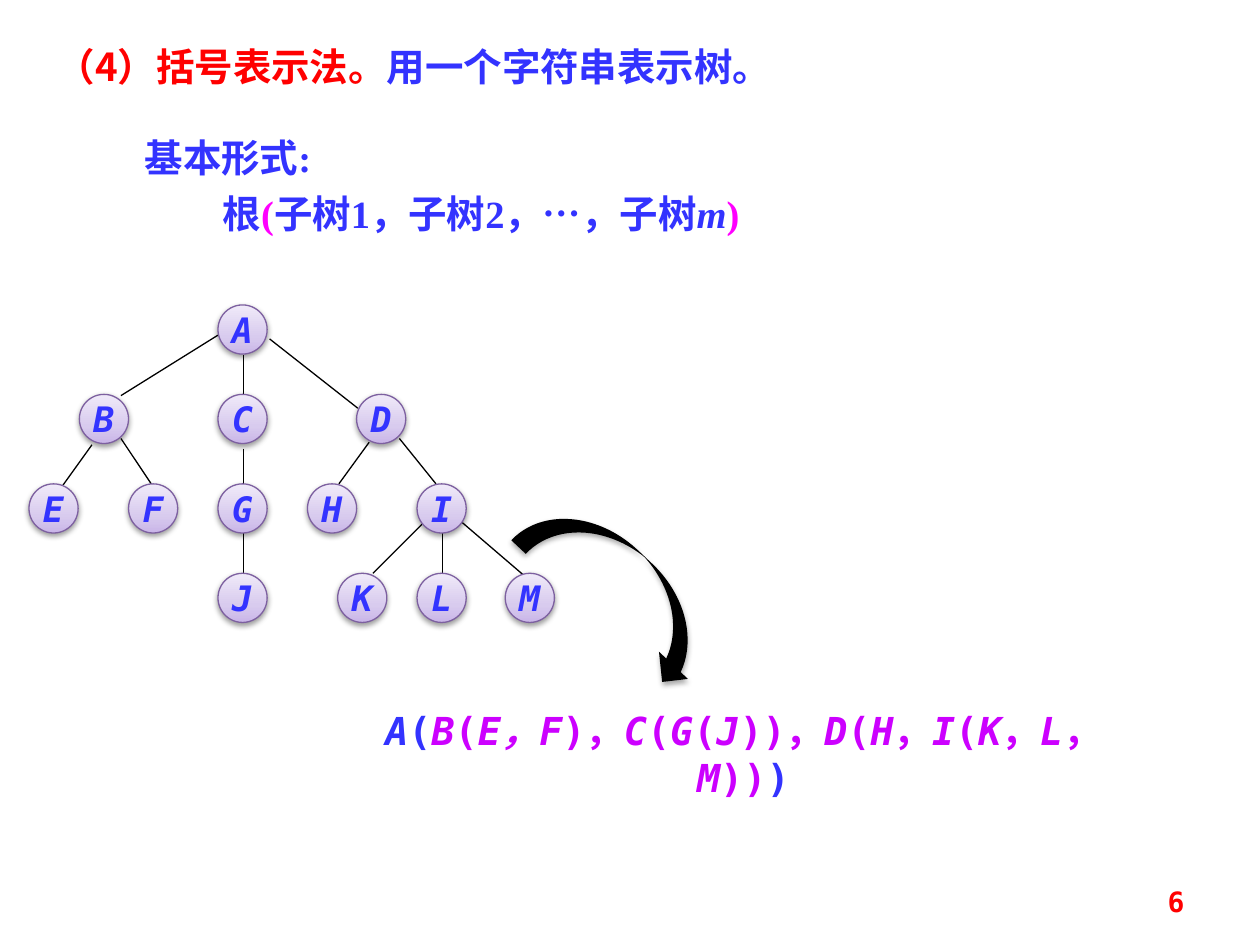
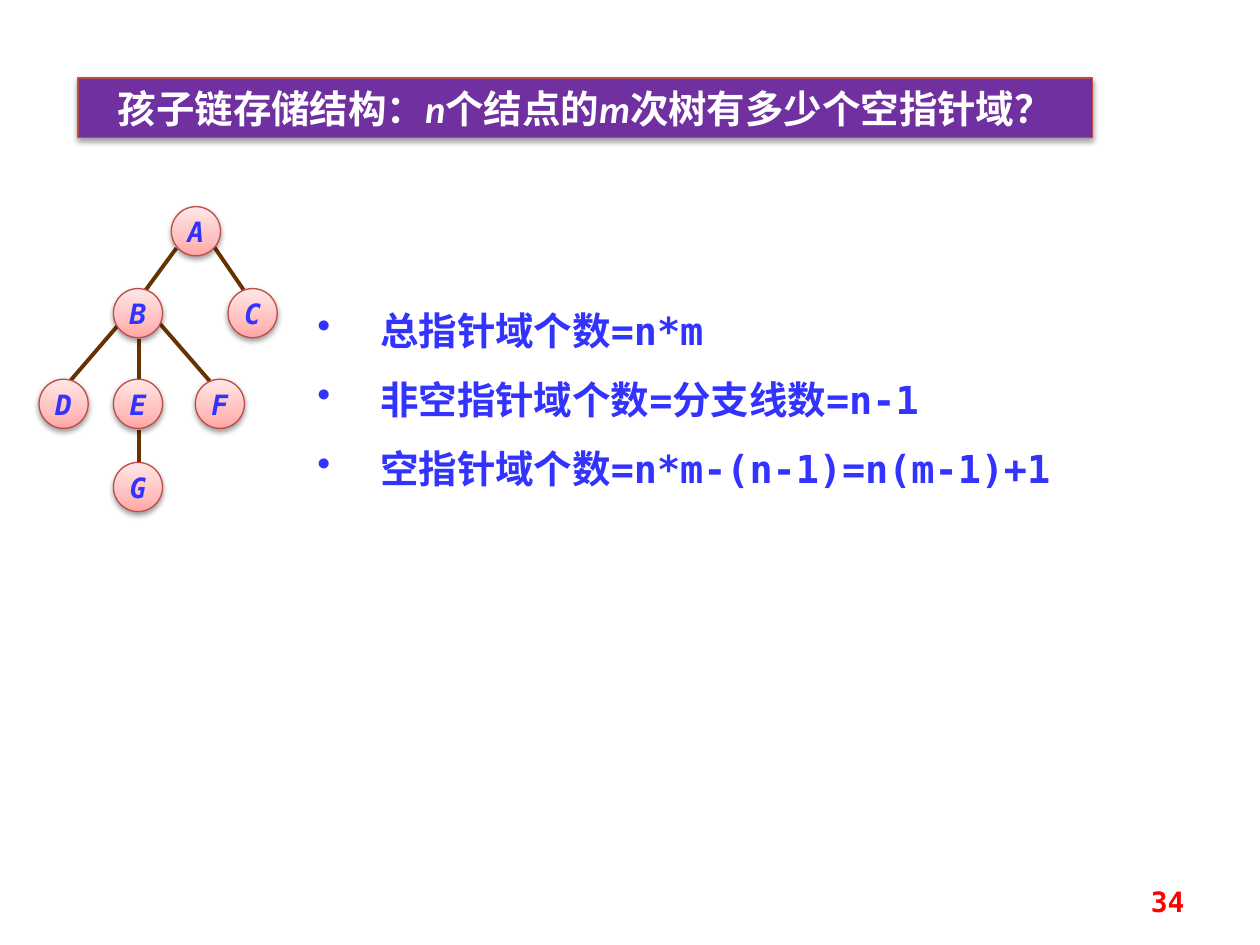
from pptx import Presentation
from pptx.dml.color import RGBColor
from pptx.enum.shapes import MSO_CONNECTOR as Link, MSO_SHAPE as Form
from pptx.enum.text import MSO_ANCHOR as Anchor, MSO_AUTO_SIZE as Auto, PP_ALIGN as Align
from pptx.oxml import parse_xml
from pptx.oxml.ns import nsdecls, qn
from pptx.util import Inches, Pt
from lxml.etree import SubElement

BLUE = RGBColor(0x33, 0x33, 0xFF)
RED = RGBColor(0xFF, 0x00, 0x00)
PINK = RGBColor(0xFF, 0x00, 0xFF)
VIOLET = RGBColor(0xCC, 0x00, 0xFF)
PURPLE = RGBColor(0x70, 0x30, 0xA0)
WHITE = RGBColor(0xFF, 0xFF, 0xFF)
BLACK = RGBColor(0x00, 0x00, 0x00)
BROWN = RGBColor(0x66, 0x33, 0x00)
PLUM = RGBColor(0x7D, 0x60, 0xA0)
BRICK = RGBColor(0xBF, 0x4C, 0x48)
LILAC = [(0, RGBColor(0xC9, 0xB5, 0xE8)), (35, RGBColor(0xD8, 0xCB, 0xEE)),
         (100, RGBColor(0xF0, 0xEA, 0xF9))]
ROSE = [(0, RGBColor(0xFF, 0xA6, 0xA5)), (35, RGBColor(0xFF, 0xC0, 0xBF)),
        (100, RGBColor(0xFF, 0xE7, 0xE7))]

MONO, SERIF, SANS, HAN = "DejaVu Sans Mono", "Times New Roman", "Calibri", "Noto Sans CJK SC"
NODE = 0.39


class Deck:
    def __init__(self):
        self.prs = Presentation()
        self.prs.slide_width, self.prs.slide_height = Inches(10), Inches(7.5)
        self.base = dict(size=Pt(22), name=MONO, bold=True, italic=False, color=BLUE)

    def page(self, number):
        self.slide = self.prs.slides.add_slide(self.prs.slide_layouts[5])
        self.shapes = self.slide.shapes
        self.text((7.17, 6.95, 2.33, 0.4), [[(str(number), {})]],
                  dict(size=Pt(16), color=RED), dict(alignment=Align.RIGHT),
                  vertical_anchor=Anchor.MIDDLE)

    def label(self, shape, paras, style=None, para=None, **frame):
        body = shape.text_frame
        frame = dict(word_wrap=True, auto_size=Auto.NONE) | frame
        for key, value in frame.items():
            setattr(body, key, value)
        for i, parts in enumerate(paras):
            line = body.add_paragraph() if i else body.paragraphs[0]
            for key, value in (para or {}).items():
                setattr(line, key, value)
            for words, change in parts:
                run = line.add_run()
                run.text = words
                for key, value in (self.base | (style or {}) | change).items():
                    if key == "color":
                        run.font.color.rgb = value
                    else:
                        setattr(run.font, key, value)
                SubElement(run._r.get_or_add_rPr(), qn("a:ea")).set("typeface", HAN)
        return shape

    def text(self, box, paras, style=None, para=None, **frame):
        shape = self.shapes.add_textbox(*map(Inches, box))
        return self.label(shape, paras, style, para, **frame)

    def title(self, box, parts, style, para, **frame):
        shape = self.shapes.title
        shape.left, shape.top, shape.width, shape.height = map(Inches, box)
        return self.label(shape, [parts], style, para, **frame)

    def indent(self, line, left, hang=0):
        props = line._p.get_or_add_pPr()
        props.set("marL", str(Inches(left)))
        props.set("indent", str(-Inches(hang)))
        return props

    def shade(self, shape, alpha=38):
        shape._element.spPr.append(parse_xml(
            f'<a:effectLst {nsdecls("a")}><a:outerShdw blurRad="40000" dist="20000" '
            f'dir="5400000" rotWithShape="0"><a:srgbClr val="{BLACK}">'
            f'<a:alpha val="{alpha}000"/></a:srgbClr></a:outerShdw></a:effectLst>'))

    def blend(self, shape, stops):
        marks = "".join(f'<a:gs pos="{at}000"><a:srgbClr val="{color}"/></a:gs>'
                        for at, color in stops)
        shape._element.spPr.find(qn("a:prstGeom")).addnext(parse_xml(
            f'<a:gradFill {nsdecls("a")} rotWithShape="1"><a:gsLst>{marks}</a:gsLst>'
            '<a:lin ang="16200000" scaled="0"/></a:gradFill>'))

    def edge(self, ends, color, width):
        line = self.shapes.add_connector(Link.STRAIGHT, *map(Inches, ends))
        line.line.color.rgb, line.line.width = color, Pt(width)
        SubElement(line._element.spPr, qn("a:effectLst"))

    def node(self, name, left, top, stops, rim, size):
        shape = self.shapes.add_shape(Form.OVAL, *map(Inches, (left, top, NODE, NODE)))
        self.blend(shape, stops)
        shape.line.color.rgb, shape.line.width = rim, Pt(0.75)
        self.shade(shape)
        self.label(shape, [[(name, dict(size=Pt(size), italic=True))]],
                   para=dict(alignment=Align.CENTER), word_wrap=False,
                   vertical_anchor=Anchor.MIDDLE, margin_left=0, margin_right=0,
                   margin_top=0, margin_bottom=0)

    def tree(self, rows, edges, stops, rim, size, ink, width):
        for ends in edges:
            self.edge(ends, ink, width)
        for top, row in rows:
            for name, left in row.items():
                self.node(name, left, top, stops, rim, size)

    def arrow(self, box, angle):
        shape = self.shapes.add_shape(Form.CURVED_DOWN_ARROW, *map(Inches, box))
        shape.rotation = angle
        shape.fill.solid()
        shape.fill.fore_color.rgb = BLACK
        shape.line.fill.background()
        self.shade(shape, 35)


def brackets(deck):
    deck.page(6)
    fixed = dict(line_spacing=Pt(32), alignment=Align.LEFT)
    deck.title((0.35, 0.21, 8.94, 0.55),
               [("（4）括号表示法。", dict(name=HAN, color=RED)), ("用一个字符串表示树。", {})],
               dict(name=SERIF), fixed, vertical_anchor=Anchor.TOP)
    form = deck.text((0.35, 0.94, 8.94, 0.99), [
        [("基本形式:", {})],
        [("根", {}), ("(", dict(color=PINK)), ("子树1，子树2，", {}), ("…，", dict(name=HAN)),
         ("子树", {}), ("m", dict(italic=True)), (")", dict(color=PINK))],
    ], dict(name=SERIF), fixed)
    for line, left in zip(form.text_frame.paragraphs, (0.7, 1.32)):
        deck.indent(line, left)

    levels = [dict(A=1.73), dict(B=0.63, C=1.73, D=2.83),
              dict(E=0.23, F=1.02, G=1.73, H=2.44, I=3.31),
              dict(J=1.73, K=2.68, L=3.31, M=4.01)]
    rows = [(2.42 + 0.71 * i, level) for i, level in enumerate(levels)]
    edges = [(1.73, 2.66, 0.96, 3.14), (1.93, 2.82, 1.93, 3.13), (2.14, 2.69, 2.84, 3.24),
             (0.73, 3.53, 0.5, 3.85), (0.96, 3.48, 1.2, 3.84), (1.93, 3.56, 1.93, 3.84),
             (2.93, 3.51, 2.69, 3.84), (3.17, 3.48, 3.46, 3.84), (1.93, 4.23, 1.93, 4.55),
             (3.35, 4.16, 2.96, 4.55), (3.51, 4.23, 3.51, 4.55), (3.66, 4.14, 4.15, 4.56)]
    deck.tree(rows, edges, LILAC, PLUM, 20, BLACK, 0.75)

    parts = "A ( B ( E，F )， C ( G ( J ))， D ( H ， I ( K ， L ， M )) )".split()
    last = len(parts) - 1
    runs = [(part, dict(italic=part[0].isalpha(),
                        color=BLUE if i in (0, 1, last) else VIOLET))
            for i, part in enumerate(parts)]
    deck.text((2.66, 5.55, 6.48, 0.47), [runs],
              para=dict(alignment=Align.CENTER, line_spacing=Pt(27)))
    deck.arrow((4.03, 4.36, 1.8, 0.63), 43.2)


def links(deck):
    deck.page(34)
    slant = dict(italic=True)
    band = deck.title((0.62, 0.62, 8.05, 0.47),
                      [("孩子链存储结构：", {}), ("n", slant), ("个结点的", {}), ("m", slant),
                       ("次树有多少个空指针域？", {})],
                      dict(name=SANS, color=WHITE), dict(alignment=Align.CENTER),
                      vertical_anchor=Anchor.MIDDLE)
    band.fill.solid()
    band.fill.fore_color.rgb = PURPLE
    band.line.color.rgb, band.line.width = BRICK, Pt(0.75)
    deck.shade(band)

    facts = ["总指针域个数=n*m", "非空指针域个数=分支线数=n-1", "空指针域个数=n*m-(n-1)=n(m-1)+1"]
    notes = deck.text((2.42, 2.21, 6.17, 1.77), [[(fact, {})] for fact in facts],
                      para=dict(line_spacing=Pt(39.4)))
    for line in notes.text_frame.paragraphs:
        SubElement(deck.indent(line, 0.5, 0.5), qn("a:buChar")).set("char", "•")

    rows = [(1.64, dict(A=1.36)), (2.29, dict(B=0.9, C=1.81)),
            (3.01, dict(D=0.31, E=0.9, F=1.55)), (3.67, dict(G=0.9))]
    edges = [(1.4, 1.97, 1.15, 2.31), (1.7, 1.96, 1.94, 2.31), (0.93, 2.59, 0.56, 3.02),
             (1.1, 2.69, 1.1, 3.01), (1.27, 2.57, 1.67, 3.03), (1.1, 3.41, 1.1, 3.67)]
    deck.tree(rows, edges, ROSE, BRICK, 16, BROWN, 2.25)


def main():
    deck = Deck()
    brackets(deck)
    links(deck)
    deck.prs.save("out.pptx")


if __name__ == "__main__":
    main()
